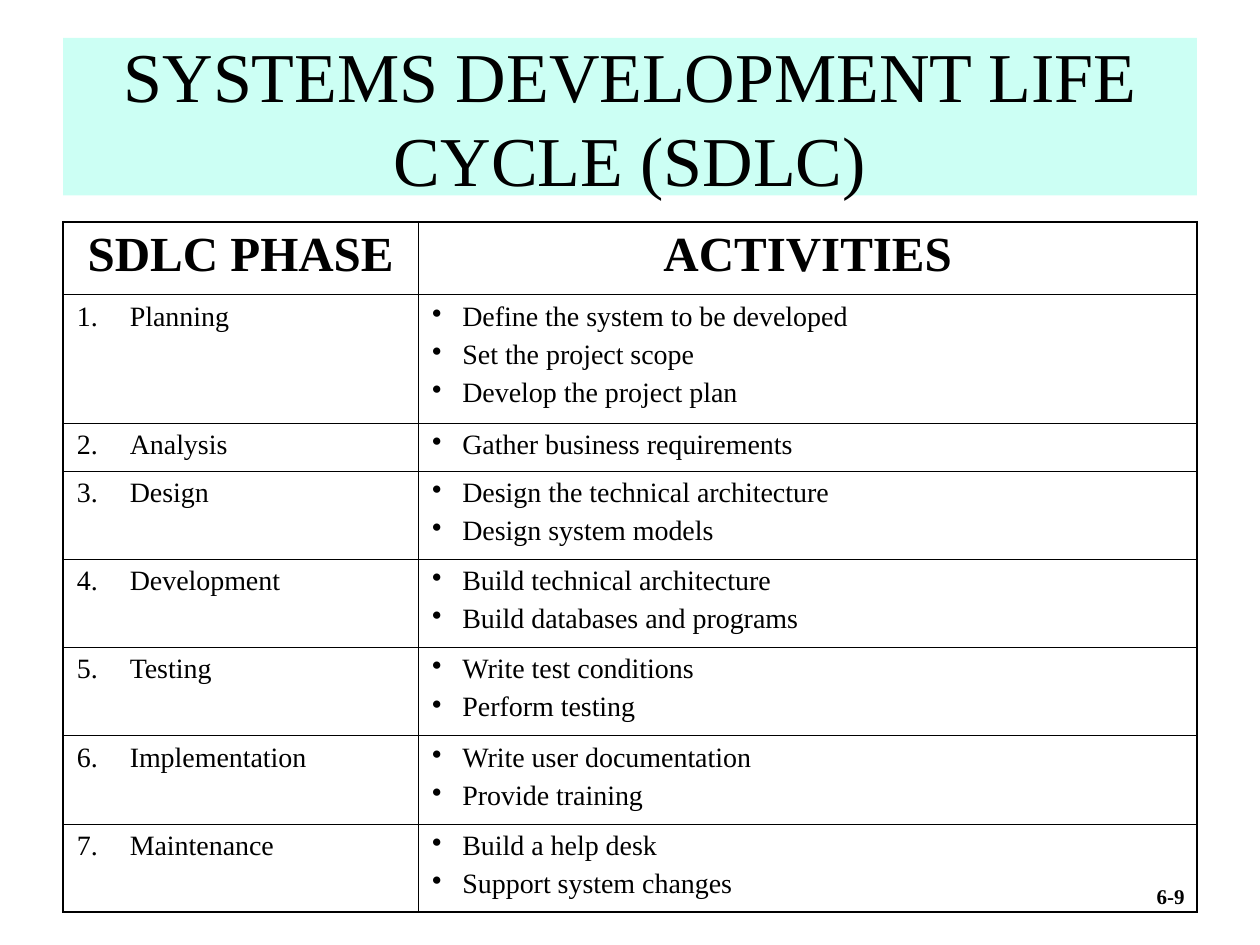
from lxml import etree
from pptx import Presentation
from pptx.dml.color import RGBColor
from pptx.enum import text
from pptx.oxml import ns
from pptx.util import Inches, Pt

COLORS = {"text": "000000", "border": "000000", "title_fill": "00FFCC"}
FONT = "Times New Roman"
THIN, THICK = 0.45, 1.08
HEADERS = ["SDLC PHASE", "ACTIVITIES"]
PHASES = [
    ("Planning", ["Define the system to be developed", "Set the project scope",
                  "Develop the project plan"]),
    ("Analysis", ["Gather business requirements"]),
    ("Design", ["Design the technical architecture", "Design system models"]),
    ("Development", ["Build technical architecture", "Build databases and programs"]),
    ("Testing", ["Write test conditions", "Perform testing"]),
    ("Implementation", ["Write user documentation", "Provide training"]),
    ("Maintenance", ["Build a help desk", "Support system changes"]),
]
COL_WIDTHS = [2.82, 6.18]
HEADER_HEIGHT = 0.58
ROW_HEIGHTS = {1: 0.38, 2: 0.7, 3: 1.02}  # by number of activities


def sub(parent, tag, **attrs):
    return etree.SubElement(parent, ns.qn(tag), {k: str(v) for k, v in attrs.items()})


def rgb(name):
    return RGBColor.from_string(COLORS[name])


def write(p, words, size, bold=False, align=text.PP_ALIGN.LEFT):
    p.alignment = align
    r = p.add_run()
    r.text = words
    for key, value in {"name": FONT, "size": Pt(size), "bold": bold}.items():
        setattr(r.font, key, value)
    r.font.color.rgb = rgb("text")


def set_list_mark(p, hang, tag, **attrs):
    """Give the paragraph a hanging indent and a bullet or number."""
    pPr = p._p.get_or_add_pPr()
    pPr.set("marL", str(Inches(hang)))
    pPr.set("indent", str(-Inches(hang)))
    sub(pPr, tag, **attrs)


def add_title(s):
    sp = s.shapes.title
    box = {"left": 0.5, "top": 0.3, "width": 9, "height": 1.25}
    for key, value in box.items():
        setattr(sp, key, Inches(value))
    sp.fill.solid()
    sp.fill.fore_color.rgb = rgb("title_fill")
    color = sp._element.spPr.find(".//" + ns.qn("a:srgbClr"))
    sub(color, "a:alpha", val=20000)
    tf = sp.text_frame
    tf.auto_size = text.MSO_AUTO_SIZE.NONE
    tf.vertical_anchor = text.MSO_ANCHOR.MIDDLE
    write(tf.paragraphs[0], "SYSTEMS DEVELOPMENT LIFE CYCLE (SDLC)", 40,
          align=text.PP_ALIGN.CENTER)


def add_page_number(s):
    sp = s.shapes.add_textbox(Inches(8.4), Inches(6.96), Inches(1.1), Inches(0.3))
    tf = sp.text_frame
    tf.word_wrap = True
    write(tf.paragraphs[0], "6-9", 12, True, text.PP_ALIGN.RIGHT)


def format_cell(cell, outer_sides):
    """Set margins and borders; the sides on the table's edge are thick."""
    cell.margin_left = cell.margin_right = Inches(0.11)
    cell.margin_top = cell.margin_bottom = Inches(0.05)
    tcPr = cell._tc.get_or_add_tcPr()
    for side in "LRTB":
        width = THICK if side in outer_sides else THIN
        ln = sub(tcPr, "a:ln" + side, w=Pt(width))
        sub(sub(ln, "a:solidFill"), "a:srgbClr", val=COLORS["border"])
    cell.fill.background()


def add_phase_table(s):
    heights = [HEADER_HEIGHT] + [ROW_HEIGHTS[len(acts)] for _, acts in PHASES]
    frame = s.shapes.add_table(len(heights), len(COL_WIDTHS), Inches(0.5), Inches(1.76),
                               Inches(sum(COL_WIDTHS)), Inches(sum(heights)))
    table = frame.table
    table.first_row = table.horz_banding = False
    for col, width in zip(table.columns, COL_WIDTHS):
        col.width = Inches(width)
    for i, height in enumerate(heights):
        table.rows[i].height = Inches(height)
        edge = {0: "T", len(PHASES): "B"}.get(i, "")
        format_cell(table.cell(i, 0), "L" + edge)
        format_cell(table.cell(i, 1), "R" + edge)

    for j, header in enumerate(HEADERS):
        write(table.cell(0, j).text_frame.paragraphs[0], header, 28, True,
              text.PP_ALIGN.CENTER)
    for i, (phase, activities) in enumerate(PHASES, 1):
        p = table.cell(i, 0).text_frame.paragraphs[0]
        set_list_mark(p, 0.42, "a:buAutoNum", type="arabicPeriod", startAt=i)
        write(p, phase, 16)
        tf = table.cell(i, 1).text_frame
        for k, activity in enumerate(activities):
            p = tf.add_paragraph() if k else tf.paragraphs[0]
            set_list_mark(p, 0.24, "a:buChar", char="•")
            if k:
                p.space_before = Pt(4)
            write(p, activity, 16)


def main():
    prs = Presentation()
    prs.slide_width, prs.slide_height = Inches(10), Inches(7.5)
    s = prs.slides.add_slide(prs.slide_layouts[5])
    add_page_number(s)
    add_title(s)
    add_phase_table(s)
    prs.save("out.pptx")


if __name__ == "__main__":
    main()
